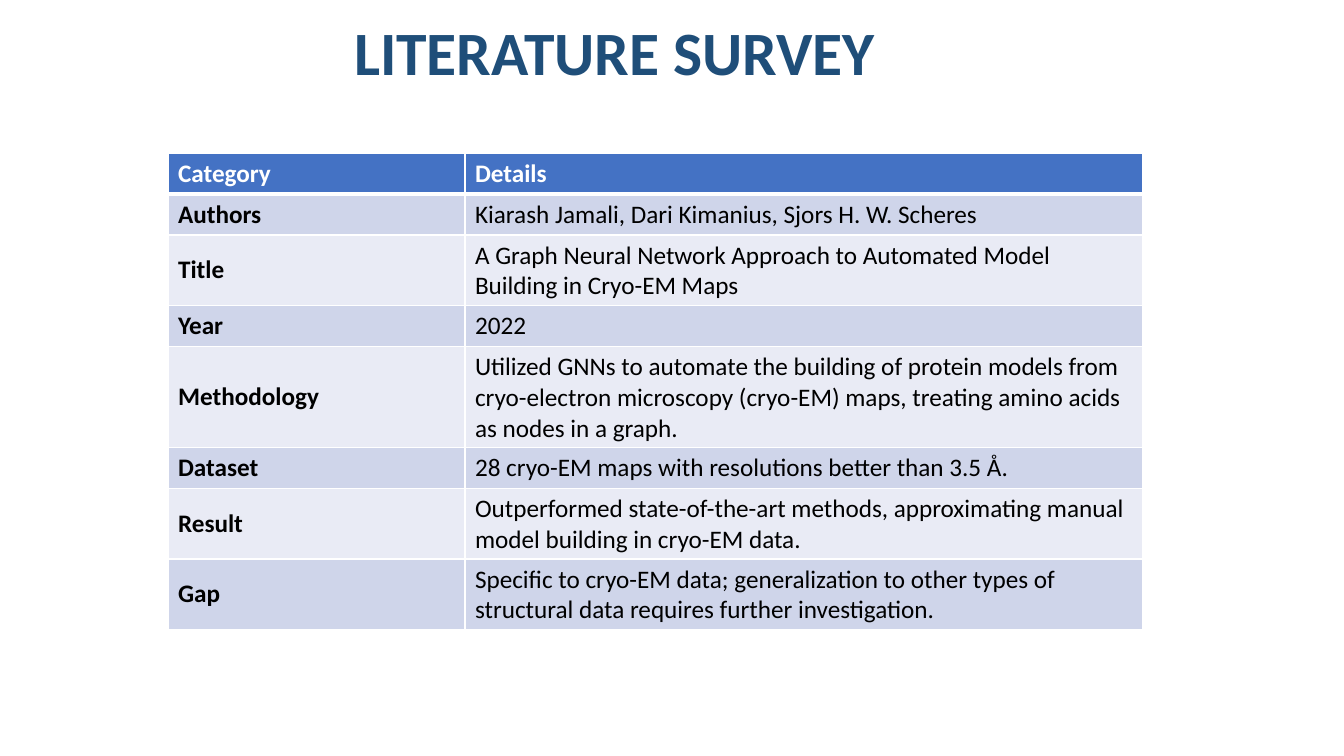
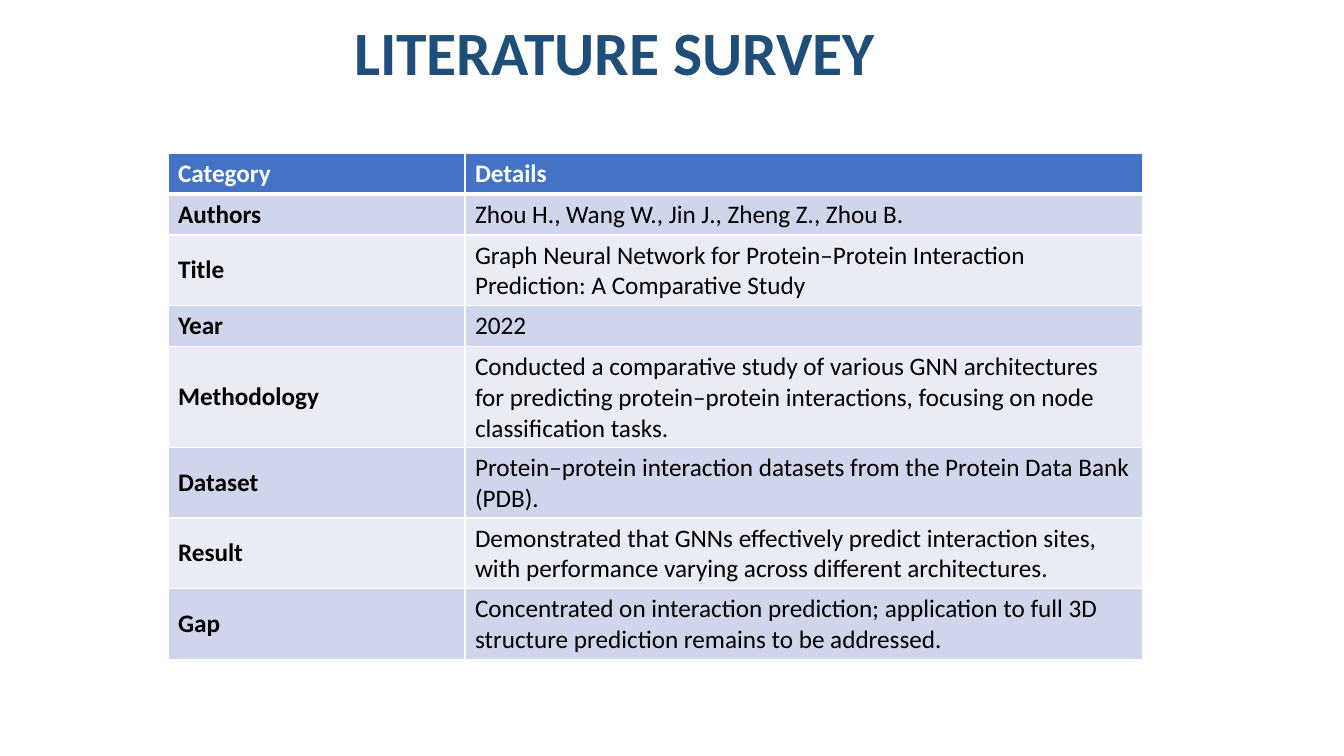
from lxml.etree import SubElement
from pptx import Presentation
from pptx.dml.color import RGBColor
from pptx.enum.text import MSO_ANCHOR as Anchor, PP_ALIGN as Align
from pptx.oxml.ns import qn
from pptx.util import Pt

EMU_PER_PX = 914400 / 100.8
NAVY = RGBColor(0x1F, 0x4E, 0x79)
BLUE = RGBColor(0x44, 0x72, 0xC4)
BAND_DARK = RGBColor(0xCF, 0xD5, 0xEA)
BAND_LIGHT = RGBColor(0xE9, 0xEB, 0xF5)
WHITE = RGBColor(0xFF, 0xFF, 0xFF)
BLACK = RGBColor(0x00, 0x00, 0x00)

TITLE_BOX = (269, -15, 692, 109)
TITLE_FONT = {"name": "Calibri", "size": Pt(44), "bold": True}
CELL_FONT = {"name": "Calibri", "size": Pt(18)}
TABLE_LEFT, TABLE_TOP = 168, 153
COLUMN_WIDTHS = (297, 678)
ROW_HEIGHT = 41  # rows with wrapped text grow from here

CATEGORIES = ("Authors", "Title", "Year", "Methodology", "Dataset", "Result", "Gap")
PAPERS = (
    (
        "Kiarash Jamali, Dari Kimanius, Sjors H. W. Scheres",
        "A Graph Neural Network Approach to Automated Model Building in Cryo-EM Maps",
        "2022",
        "Utilized GNNs to automate the building of protein models from cryo-electron "
        "microscopy (cryo-EM) maps, treating amino acids as nodes in a graph.",
        "28 cryo-EM maps with resolutions better than 3.5 Å.",
        "Outperformed state-of-the-art methods, approximating manual model building "
        "in cryo-EM data.",
        "Specific to cryo-EM data; generalization to other types of structural data "
        "requires further investigation.",
    ),
    (
        "Zhou H., Wang W., Jin J., Zheng Z., Zhou B.",
        "Graph Neural Network for Protein–Protein Interaction Prediction: "
        "A Comparative Study",
        "2022",
        "Conducted a comparative study of various GNN architectures for predicting "
        "protein–protein interactions, focusing on node classification tasks.",
        "Protein–protein interaction datasets from the Protein Data Bank (PDB).",
        "Demonstrated that GNNs effectively predict interaction sites, with "
        "performance varying across different architectures.",
        "Concentrated on interaction prediction; application to full 3D structure "
        "prediction remains to be addressed.",
    ),
)


def px(*lengths):
    return [round(length * EMU_PER_PX) for length in lengths]


def write(paragraph, text, font_format, color):
    run = paragraph.add_run()
    run.text = text
    for attribute, value in font_format.items():
        setattr(run.font, attribute, value)
    run.font.color.rgb = color


prs = Presentation()
prs.slide_width, prs.slide_height = px(1344, 756)

for paper in PAPERS:
    slide = prs.slides.add_slide(prs.slide_layouts[6])

    # Title
    title = slide.shapes.add_textbox(*px(*TITLE_BOX)).text_frame
    title.word_wrap = True
    title.vertical_anchor = Anchor.BOTTOM
    heading = title.paragraphs[0]
    heading.alignment = Align.CENTER
    heading.line_spacing = 0.9
    write(heading, "LITERATURE SURVEY", TITLE_FONT, NAVY)

    # Table grid
    rows = [("Category", "Details"), *zip(CATEGORIES, paper)]
    survey = slide.shapes.add_table(
        len(rows), len(COLUMN_WIDTHS),
        *px(TABLE_LEFT, TABLE_TOP, sum(COLUMN_WIDTHS), ROW_HEIGHT * len(rows)),
    ).table
    for column, width in zip(survey.columns, px(*COLUMN_WIDTHS)):
        column.width = width

    # Cells: header row, then alternating bands
    for r, row in enumerate(rows):
        band = BLUE if r == 0 else BAND_DARK if r % 2 else BAND_LIGHT
        for c, text in enumerate(row):
            cell = survey.cell(r, c)
            cell.vertical_anchor = Anchor.MIDDLE
            font_format = {**CELL_FONT, "bold": r == 0 or c == 0}
            write(cell.text_frame.paragraphs[0], text, font_format,
                  WHITE if r == 0 else BLACK)

            # White borders, thicker below the header; they precede the fill
            borders = {"a:lnL": 1, "a:lnR": 1, "a:lnT": 3 if r == 1 else 1,
                       "a:lnB": 3 if r == 0 else 1}
            properties = cell._tc.get_or_add_tcPr()
            for side, width in borders.items():
                line = SubElement(properties, qn(side), w=str(Pt(width)))
                line_fill = SubElement(line, qn("a:solidFill"))
                SubElement(line_fill, qn("a:srgbClr"), val=str(WHITE))
            cell.fill.solid()
            cell.fill.fore_color.rgb = band

prs.save("out.pptx")
